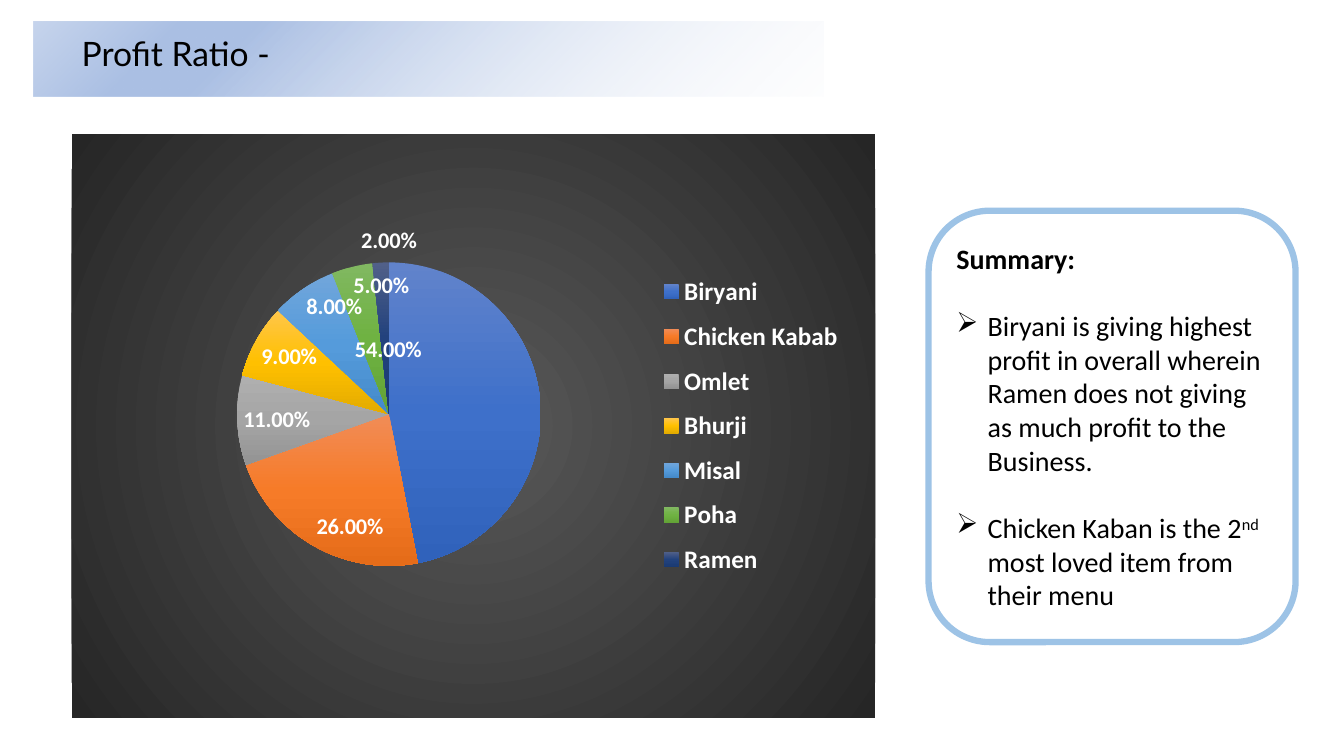
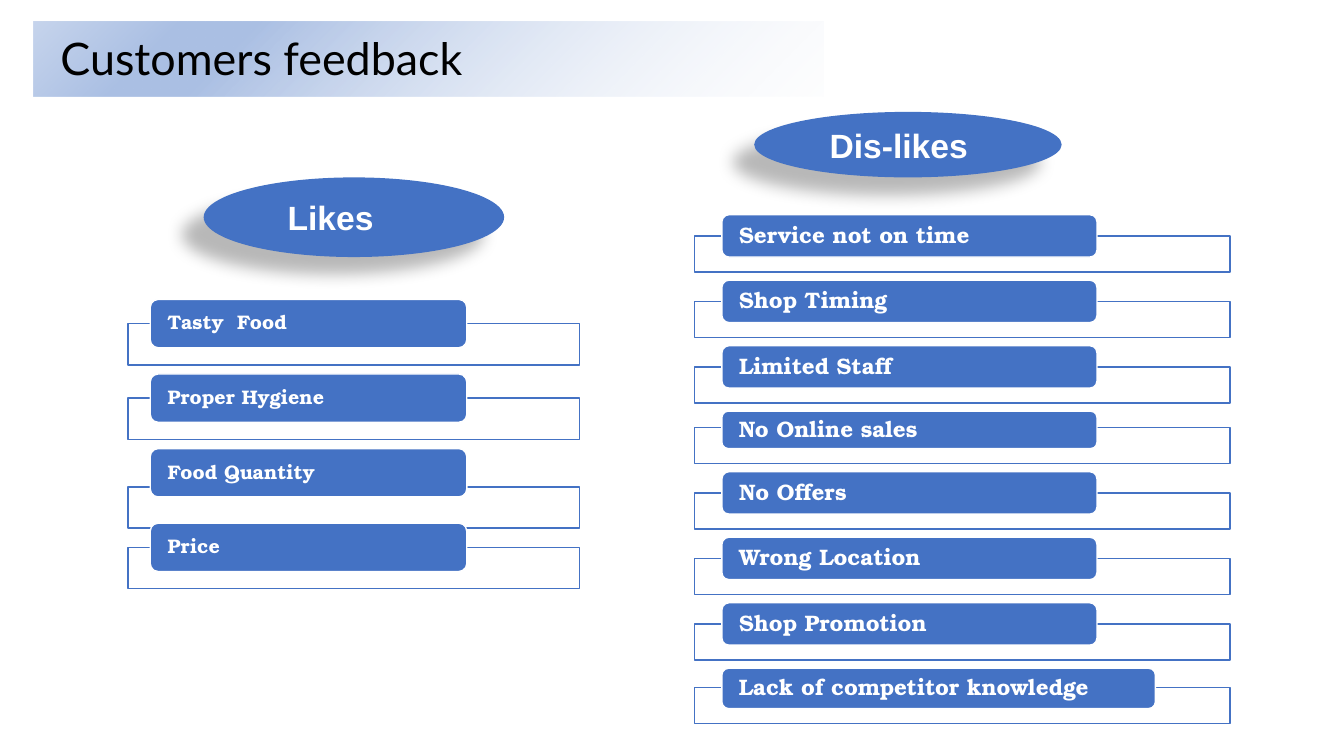
from lxml.etree import SubElement
from pptx import Presentation
from pptx.chart.data import CategoryChartData
from pptx.dml.color import RGBColor
from pptx.enum.chart import XL_CHART_TYPE as ChartType
from pptx.enum.chart import XL_LABEL_POSITION as LabelPosition
from pptx.enum.chart import XL_LEGEND_POSITION as LegendPosition
from pptx.enum.shapes import MSO_SHAPE as Shape
from pptx.enum.text import MSO_ANCHOR as Anchor
from pptx.enum.text import MSO_AUTO_SIZE as AutoSize
from pptx.enum.text import PP_ALIGN as Align
from pptx.oxml import parse_xml
from pptx.oxml.ns import nsdecls, qn
from pptx.util import Inches, Pt

BLUE, SKY, WHITE, BLACK = "4472C4", "9DC3E6", "FFFFFF", "000000"
HEADING, BODY, LABEL, BADGE = "Lato", "Calibri", "TeX Gyre Bonum", "Arial"
BAND_STOPS = [(0, "F6F8FC", 14), (74, "ABC0E4", 100), (83, "ABC0E4", 100), (100, "C7D5ED", 100)]
CHART_STOPS = [(0, "595959", 100), (100, "262626", 100)]
PROFITS = [
    ("Biryani", 0.54, ("6183CB", "3E70CA", "3062BB")),
    ("Chicken Kabab", 0.26, ("F18C57", "F67B28", "E56C19")),
    ("Omlet", 0.11, ("AFAFAF", "A5A5A5", "939393")),
    ("Bhurji", 0.09, ("FFC64B", "FFC000", "E3AB00")),
    ("Misal", 0.08, ("71A6DB", "559BDB", "448ACA")),
    ("Poha", 0.05, ("81B861", "6FB242", "62A336")),
    ("Ramen", 0.02, ("516089", "22427D", "1A3A72")),
]
MOVED_LABELS = {0: (-0.14, -0.11), 6: (0.01, -0.07)}
SUMMARY = [
    [("Biryani is giving highest profit in overall wherein Ramen does not giving "
      "as much profit to the Business.", False)],
    [("Chicken Kaban is the 2", False), ("nd", True), (" most loved item from their menu", False)],
]
LIKES = [("Tasty  Food", {}), ("Proper Hygiene", {}), ("Food Quantity", {"drop": 0.14}), ("Price", {})]
DISLIKES = [
    ("Service not on time", {}), ("Shop Timing", {}), ("Limited Staff", {}),
    ("No Online sales", {"height": 0.37}), ("No Offers", {}), ("Wrong Location", {}),
    ("Shop Promotion", {}), ("Lack of competitor knowledge", {"height": 0.4, "width": 4.3}),
]


def rgb(value):
    return RGBColor.from_string(value)


def gradient_xml(stops, direction):
    stop_xml = "".join(
        f'<a:gs pos="{position * 1000}"><a:srgbClr val="{color}">'
        f'<a:alpha val="{alpha * 1000}"/></a:srgbClr></a:gs>'
        for position, color, alpha in stops)
    return f'<a:gradFill {nsdecls("a")} rotWithShape="1"><a:gsLst>{stop_xml}</a:gsLst>{direction}</a:gradFill>'


def linear_fill(fill, stops, angle):
    fill.solid()
    parent = fill._xPr
    direction = f'<a:lin ang="{angle * 60000}" scaled="0"/>'
    parent.replace(parent.find(qn("a:solidFill")), parse_xml(gradient_xml(stops, direction)))


def manual_layout(modes, **values):
    parts = [f'<c:{name} val="{value}"/>' for name, value in (modes | values).items()]
    return parse_xml(f'<c:layout {nsdecls("c")}><c:manualLayout>{"".join(parts)}</c:manualLayout></c:layout>')


class Deck:
    """Holds the shared style and the slide being built."""

    def __init__(self):
        self.presentation = Presentation()
        self.presentation.slide_width = Inches(13.33)
        self.presentation.slide_height = Inches(7.5)
        self.slide = None

    def format_font(self, font, name, size, color, bold=None):
        font.name, font.size, font.bold = name, Pt(size), bold
        font.color.rgb = rgb(color)

    def format_runs(self, paragraph, *style):
        for run in paragraph.runs:
            self.format_font(run.font, *style)

    def add_shape(self, kind, left, top, width, height, fill=None, line=None, line_width=1):
        shape = self.slide.shapes.add_shape(
            kind, Inches(left), Inches(top), Inches(width), Inches(height))
        shape.shadow.inherit = False
        if fill:
            shape.fill.solid()
            shape.fill.fore_color.rgb = rgb(fill)
        else:
            shape.fill.background()
        if line:
            shape.line.color.rgb = rgb(line)
            shape.line.width = Pt(line_width)
        else:
            shape.line.fill.background()
        return shape

    def add_slide(self, title_text, left, top, height, size):
        self.slide = self.presentation.slides.add_slide(self.presentation.slide_layouts[5])
        title = self.slide.shapes.title
        title.left, title.top = Inches(left), Inches(top)
        title.width, title.height = Inches(6.77), Inches(height)
        frame = title.text_frame
        frame.text = title_text
        frame.word_wrap = True
        frame.auto_size = AutoSize.NONE
        frame.vertical_anchor = Anchor.TOP
        frame.paragraphs[0].alignment = Align.LEFT
        self.format_runs(frame.paragraphs[0], HEADING, size, BLACK)
        band = self.add_shape(Shape.RECTANGLE, 0.33, 0.21, 7.84, 0.75)
        linear_fill(band.fill, BAND_STOPS, 225)
        title.element.addprevious(band.element)

    def add_pie(self, left, top, width, height, rows):
        data = CategoryChartData(number_format="0.00%")
        data.categories = [name for name, _, _ in rows]
        data.add_series("Series 1", [value for _, value, _ in rows])
        chart = self.slide.shapes.add_chart(
            ChartType.PIE, Inches(left), Inches(top), Inches(width), Inches(height), data).chart
        chart.has_title = False
        self.format_font(chart.font, BODY, 18, WHITE)
        self.format_chart_area(chart)
        self.format_legend(chart)
        plot = chart.plots[0]
        plot.vary_by_categories = True
        series = plot.series[0]
        self.format_labels(series)
        for index, (_, _, colors) in enumerate(rows):
            stops = [(step * 50, color, 100) for step, color in enumerate(colors)]
            linear_fill(series.points[index].format.fill, stops, 90)

    def format_chart_area(self, chart):
        space = chart._chartSpace
        center = '<a:path path="circle"><a:fillToRect l="50000" t="50000" r="50000" b="50000"/></a:path>'
        area = parse_xml(f'<c:spPr {nsdecls("c", "a")}>{gradient_xml(CHART_STOPS, center)}'
                         '<a:ln><a:noFill/></a:ln></c:spPr>')
        space.find(qn("c:txPr")).addprevious(area)
        plot_area = space.find(qn("c:chart")).find(qn("c:plotArea"))
        for layout in plot_area.findall(qn("c:layout")):
            plot_area.remove(layout)
        modes = {"layoutTarget": "inner", "xMode": "edge", "yMode": "edge"}
        plot_area.insert(0, manual_layout(modes, x=0.03, y=0.22, w=0.73, h=0.52))

    def format_legend(self, chart):
        chart.has_legend = True
        legend = chart.legend
        legend.position = LegendPosition.RIGHT
        legend.include_in_layout = False
        self.format_font(legend.font, BODY, 18, WHITE, True)
        element = legend._element
        for layout in element.findall(qn("c:layout")):
            element.remove(layout)
        modes = {"xMode": "edge", "yMode": "edge"}
        element.find(qn("c:legendPos")).addnext(manual_layout(modes, x=0.73, y=0.22, w=0.23, h=0.56))

    def format_labels(self, series):
        labels = series.data_labels
        labels.show_value = True
        labels.number_format = "0.00%"
        labels.number_format_is_linked = False
        labels.position = LabelPosition.INSIDE_END
        self.format_font(labels.font, BODY, 16, WHITE, True)
        for index, (x, y) in MOVED_LABELS.items():
            label = series.points[index].data_label
            self.format_font(label.font, BODY, 16, WHITE, True)
            label.position = LabelPosition.INSIDE_END
            element = label._get_or_add_dLbl()
            element.find(qn("c:idx")).addnext(manual_layout({}, x=x, y=y))

    def add_summary(self, left, top, width, height, heading, items):
        frame = self.add_shape(
            Shape.ROUNDED_RECTANGLE, left, top, width, height, line=SKY, line_width=4.5).text_frame
        frame.word_wrap = True
        frame.vertical_anchor = Anchor.MIDDLE
        frame.text = heading
        frame.paragraphs[0].alignment = Align.LEFT
        self.format_runs(frame.paragraphs[0], BODY, 20, BLACK, True)
        for item in items:
            paragraph = frame.add_paragraph()
            paragraph.alignment = Align.LEFT
            paragraph.space_before = Pt(24)
            properties = paragraph._p.get_or_add_pPr()
            properties.set("marL", str(Inches(0.31)))
            properties.set("indent", str(-Inches(0.31)))
            SubElement(properties, qn("a:buChar")).set("char", "➢")
            for text, raised in item:
                run = paragraph.add_run()
                run.text = text
                self.format_font(run.font, BODY, 20, BLACK, False)
                if raised:
                    run._r.get_or_add_rPr().set("baseline", "30000")

    def add_badge(self, left, top, width, height, text, shift):
        badge = self.add_shape(Shape.OVAL, left, top, width, height, BLUE)
        effects = badge.element.spPr.find(qn("a:effectLst"))
        effects.append(parse_xml(
            f'<a:outerShdw {nsdecls("a")} blurRad="{Pt(11.8)}" dist="{Pt(19.7)}" dir="{141 * 60000}" '
            'algn="ctr" rotWithShape="0"><a:srgbClr val="000000"><a:alpha val="28000"/>'
            '</a:srgbClr></a:outerShdw>'))
        frame = badge.text_frame
        frame.text = text
        frame.margin_right = Inches(0.1 + shift)
        frame.vertical_anchor = Anchor.MIDDLE
        frame.paragraphs[0].alignment = Align.CENTER
        self.format_runs(frame.paragraphs[0], BADGE, 24, WHITE, True)

    def add_list(self, rows, top, label_left, box_left, label_size, box_size, overlap, gap, size):
        for text, changes in rows:
            width = changes.get("width", label_size[0])
            height = changes.get("height", label_size[1])
            box_top = top + height - overlap + changes.get("drop", 0)
            self.add_shape(Shape.RECTANGLE, box_left, box_top, *box_size, fill=WHITE, line=BLUE)
            label = self.add_shape(
                Shape.ROUNDED_RECTANGLE, label_left, top, width, height, BLUE, WHITE)
            frame = label.text_frame
            frame.text = text
            frame.word_wrap = True
            frame.margin_left = frame.margin_right = Inches(0.15)
            frame.margin_top = frame.margin_bottom = 0
            frame.vertical_anchor = Anchor.MIDDLE
            paragraph = frame.paragraphs[0]
            paragraph.alignment = Align.LEFT
            paragraph.line_spacing = 0.9
            self.format_runs(paragraph, LABEL, size, WHITE, True)
            top += height + gap


def main():
    deck = Deck()

    deck.add_slide("Profit Ratio -", 0.71, 0.28, 0.5, 24)
    deck.add_pie(0.71, 1.33, 7.97, 5.79, PROFITS)
    deck.add_summary(9.21, 2.09, 3.64, 4.28, "Summary:", SUMMARY)

    deck.add_slide("Customers feedback", 0.5, 0.25, 0.64, 32)
    deck.add_list(LIKES, 2.97, 1.49, 1.27, (3.14, 0.48), (4.48, 0.41), 0.24, 0.26, 14)
    deck.add_list(DISLIKES, 2.13, 7.16, 6.89, (3.72, 0.42), (5.31, 0.36), 0.21, 0.23, 16)
    deck.add_badge(2.02, 1.76, 2.98, 0.79, "Likes", 0.46)
    deck.add_badge(7.48, 1.11, 3.05, 0.65, "Dis-likes", 0.18)

    deck.presentation.save("out.pptx")


if __name__ == "__main__":
    main()
